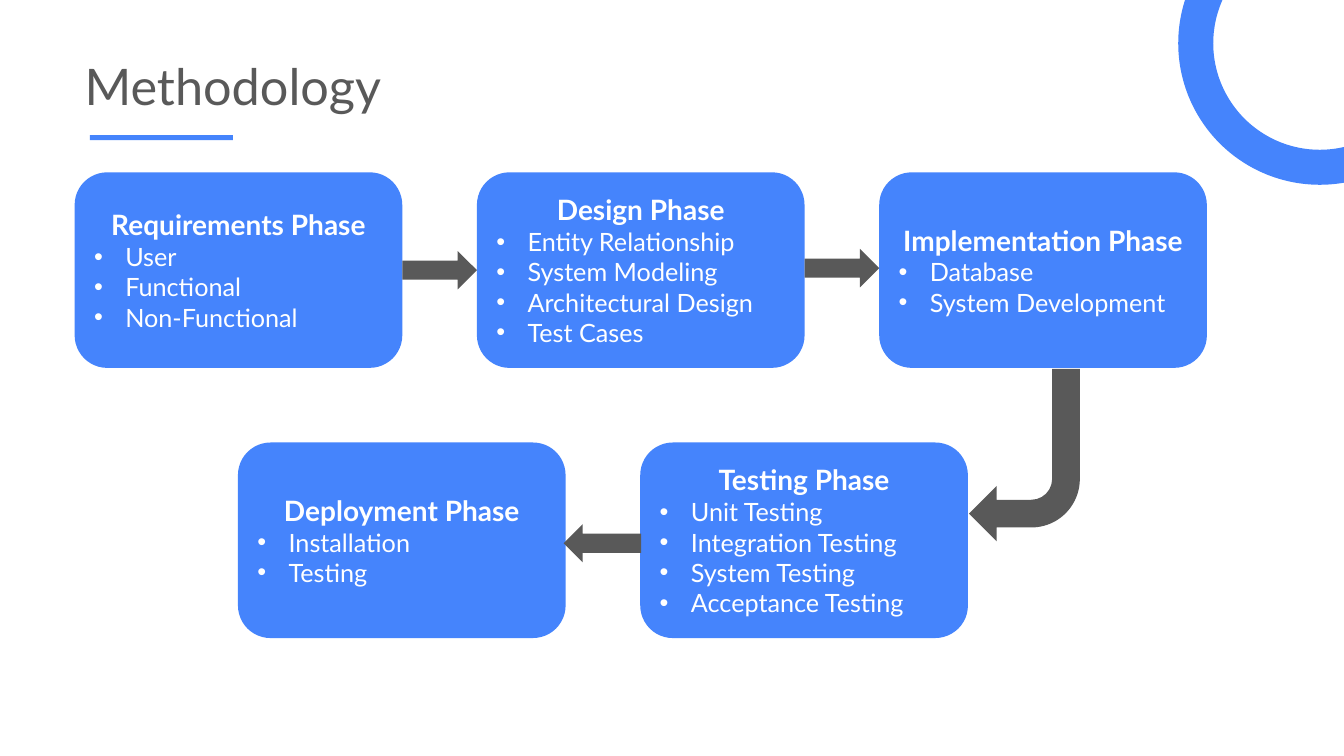
from pptx import Presentation
from pptx.dml.color import RGBColor as RGB
from pptx.enum.shapes import MSO_SHAPE as SHAPE
from pptx.enum.text import MSO_ANCHOR as ANCHOR, PP_ALIGN as ALIGN
from pptx.oxml.ns import qn
from pptx.util import Inches, Pt
from lxml.etree import SubElement

COLORS = {"blue": "4584FC", "grey": "595959", "white": "FFFFFF"}
FORMATS = {
    "title": {"size": Pt(36), "bold": False},
    "heading": {"size": Pt(20), "bold": True},
    "item": {"size": Pt(18), "bold": False},
}
LEFT, TOP = 0.74, 1.71
BOX_W, BOX_H = 3.25, 1.94
COL, ROW = 3.99, 2.68
GAP = COL - BOX_W
ROW_SHIFT = 1.62
INDENT = 0.31

PHASES = [
    (0, 0, "Requirements Phase", ["User", "Functional", "Non-Functional"]),
    (1, 0, "Design Phase", ["Entity Relationship", "System Modeling",
                            "Architectural Design", "Test Cases"]),
    (2, 0, "Implementation Phase", ["Database", "System Development"]),
    (0, 1, "Deployment Phase", ["Installation", "Testing"]),
    (1, 1, "Testing Phase", ["Unit Testing", "Integration Testing",
                             "System Testing", "Acceptance Testing"]),
]


def cell(col, row):
    return LEFT + col * COL + row * ROW_SHIFT, TOP + row * ROW


def add_shape(s, kind, box, color):
    sp = s.shapes.add_shape(kind, *map(Inches, box))
    sp.shadow.inherit = False
    sp.fill.solid()
    sp.fill.fore_color.rgb = RGB.from_string(COLORS[color])
    sp.line.fill.background()
    return sp


def add_run(p, text, style, color):
    r = p.add_run()
    r.text = text
    r.font.name = "Lato"
    r.font.color.rgb = RGB.from_string(COLORS[color])
    for name, value in FORMATS[style].items():
        setattr(r.font, name, value)


def add_bullet(p):
    pPr = p._p.get_or_add_pPr()
    pPr.set("marL", str(Inches(INDENT)))
    pPr.set("indent", str(-Inches(INDENT)))
    SubElement(pPr, qn("a:buFont")).set("typeface", "Arial")
    SubElement(pPr, qn("a:buChar")).set("char", "•")


def add_title(s, text):
    sp = s.shapes.add_textbox(*map(Inches, (LEFT, 0.5, 4.97, 0.71)))
    sp.text_frame.word_wrap = True
    add_run(sp.text_frame.paragraphs[0], text, "title", "grey")
    add_shape(s, SHAPE.RECTANGLE, (0.89, 1.34, 1.42, 0.05), "blue")


def add_phase(s, col, row, heading, items):
    box = (*cell(col, row), BOX_W, BOX_H)
    tf = add_shape(s, SHAPE.ROUNDED_RECTANGLE, box, "blue").text_frame
    tf.word_wrap = True
    tf.vertical_anchor = ANCHOR.MIDDLE
    p = tf.paragraphs[0]
    p.alignment = ALIGN.CENTER
    add_run(p, heading, "heading", "white")
    for item in items:
        p = tf.add_paragraph()
        p.alignment = ALIGN.LEFT
        add_bullet(p)
        add_run(p, item, "item", "white")


def add_arrows(s):
    for col, top in ((1, 2.49), (2, 2.47)):
        left = cell(col, 0)[0] - GAP
        add_shape(s, SHAPE.RIGHT_ARROW, (left, top, GAP, 0.38), "grey")
    add_shape(s, SHAPE.LEFT_ARROW, (5.59, 5.2, 0.77, 0.38), "grey")
    bend = add_shape(s, SHAPE.BENT_ARROW, (9.61, 3.66, 1.1, 1.71), "grey")
    bend.rotation = 180


def add_ring(s):
    sp = add_shape(s, SHAPE.OVAL, (11.86, -0.8, 2.46, 2.46), "white")
    sp.fill.background()
    sp.line.color.rgb = RGB.from_string(COLORS["blue"])
    sp.line.width = Pt(25)


def main():
    """Build the methodology slide."""
    prs = Presentation()
    prs.slide_width, prs.slide_height = Inches(13.33), Inches(7.5)
    s = prs.slides.add_slide(prs.slide_layouts[6])
    s.background.fill.solid()
    s.background.fill.fore_color.rgb = RGB.from_string(COLORS["white"])
    add_title(s, "Methodology")
    for phase in PHASES:
        add_phase(s, *phase)
    add_arrows(s)
    add_ring(s)
    prs.save("out.pptx")


if __name__ == "__main__":
    main()
